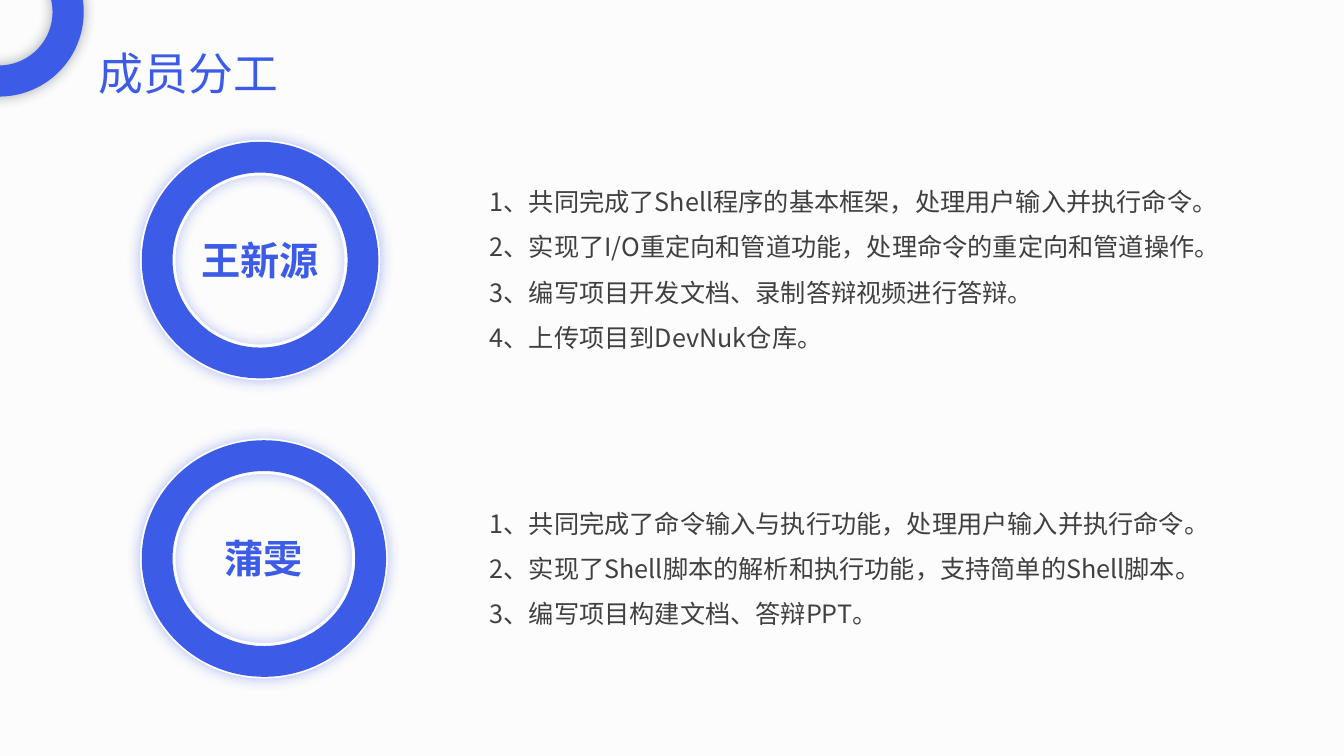
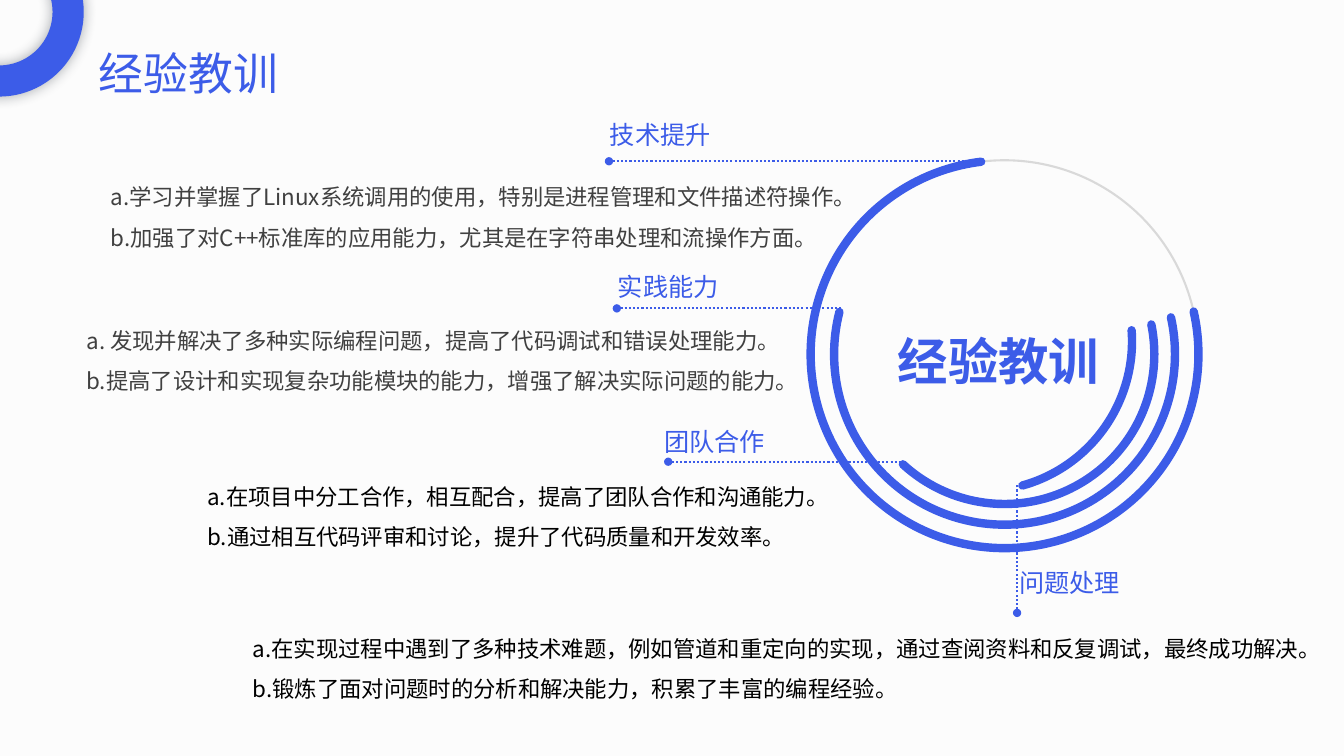
from dataclasses import dataclass

from lxml.etree import SubElement
from pptx import Presentation
from pptx.dml.color import RGBColor
from pptx.enum.dml import MSO_LINE
from pptx.enum.shapes import MSO_CONNECTOR, MSO_SHAPE
from pptx.enum.text import MSO_AUTO_SIZE, PP_ALIGN
from pptx.oxml.ns import qn
from pptx.shapes.autoshape import Shape
from pptx.slide import Slide
from pptx.util import Pt

BLUE = RGBColor(0x3C, 0x5C, 0xE8)
NAVY = RGBColor(0x22, 0x2A, 0x35)
DARK = RGBColor(0x40, 0x40, 0x40)
BLACK = RGBColor(0, 0, 0)
WHITE = RGBColor(0xFF, 0xFF, 0xFF)
GRAY = RGBColor(0xD9, 0xD9, 0xD9)
PAPER = RGBColor(0xFC, 0xFC, 0xFC)
FONT = "Noto Sans CJK SC"


@dataclass(frozen=True)
class Area:
    left: float
    top: float
    width: float
    height: float

    def lengths(self) -> tuple[Pt, Pt, Pt, Pt]:
        return Pt(self.left), Pt(self.top), Pt(self.width), Pt(self.height)

    def inset(self, gap: float) -> "Area":
        return Area(self.left + gap, self.top + gap, self.width - 2 * gap, self.height - 2 * gap)


def centred(x: float, y: float, width: float, height: float) -> Area:
    return Area(x - width / 2, y - height / 2, width, height)


@dataclass(frozen=True)
class Style:
    size: float
    color: RGBColor = BLUE
    bold: bool = False
    align: PP_ALIGN = PP_ALIGN.LEFT
    spacing: float = 1.0
    wrap: bool = True


@dataclass(frozen=True)
class Member:
    name: str
    ring: Area
    arc_end: float
    duties: Area
    lines: list[str]


@dataclass(frozen=True)
class Arc:
    x: float
    y: float
    diameter: float
    start: float
    end: float
    rotation: float = 180


@dataclass(frozen=True)
class Topic:
    heading: str
    label: tuple[float, float]
    dot: tuple[float, float]
    tip: tuple[float, float]
    body: Area
    color: RGBColor
    lines: list[str]


TITLE = Style(32)
NAME = Style(28, bold=True, align=PP_ALIGN.CENTER, wrap=False)
HUB = Style(36, bold=True, align=PP_ALIGN.CENTER)
LABEL = Style(18, align=PP_ALIGN.RIGHT, wrap=False)
DUTIES = Style(18, DARK, spacing=1.5)

MEMBERS = [
    Member("王新源", Area(100, 100, 171.5, 171.5), 273.14, Area(342.7, 118.8, 528.5, 134.6), [
        "1、共同完成了Shell程序的基本框架，处理用户输入并执行命令。",
        "2、实现了I/O重定向和管道功能，处理命令的重定向和管道操作。",
        "3、编写项目开发文档、录制答辩视频进行答辩。",
        "4、上传项目到DevNuk仓库。",
    ]),
    Member("蒲雯", Area(100, 313.2, 177, 171.5), 273.28, Area(342.7, 348.5, 543, 101.5), [
        "1、共同完成了命令输入与执行功能，处理用户输入并执行命令。",
        "2、实现了Shell脚本的解析和执行功能，支持简单的Shell脚本。",
        "3、编写项目构建文档、答辩PPT。",
    ]),
]

HUB_X, HUB_Y, HUB_DIAMETER = 717.5, 253, 277
ARCS = [
    Arc(HUB_X, HUB_Y, HUB_DIAMETER, 167.28, 83.08),
    Arc(HUB_X, HUB_Y, 243.5, 167.5, 14.36),
    Arc(HUB_X, HUB_Y, 214, 168.53, 312.7),
    Arc(701.6, 243.7, 214, 169.39, 248.06, 186.4),
]

TOPICS = [
    Topic("技术提升", (427.7, 82), (435, 115.2), (692.6, 115.2), Area(72, 118, 569, 62), DARK, [
        "a.学习并掌握了Linux系统调用的使用，特别是进程管理和文件描述符操作。",
        "b.加强了对C++标准库的应用能力，尤其是在字符串处理和流操作方面。",
    ]),
    Topic("实践能力", (433.5, 190), (440.6, 220.3), (602, 220.3), Area(54.7, 220.3, 564.5, 62), DARK, [
        "a. 发现并解决了多种实际编程问题，提高了代码调试和错误处理能力。",
        "b.提高了设计和实现复杂功能模块的能力，增强了解决实际问题的能力。",
    ]),
    Topic("团队合作", (466.5, 301), (477.3, 329.8), (645, 329.8), Area(141, 332, 526.3, 62), BLACK, [
        "a.在项目中分工合作，相互配合，提高了团队合作和沟通能力。",
        "b.通过相互代码评审和讨论，提升了代码质量和开发效率。",
    ]),
    Topic("问题处理", (720, 401.8), (726.5, 437.8), (726.5, 345.6), Area(173.5, 440.6, 775.5, 62), BLACK, [
        "a.在实现过程中遇到了多种技术难题，例如管道和重定向的实现，通过查阅资料和反复调试，最终成功解决。",
        "b.锻炼了面对问题时的分析和解决能力，积累了丰富的编程经验。",
    ]),
]


def add_text(page: Slide, area: Area, lines: list[str], style: Style) -> None:
    frame = page.shapes.add_textbox(*area.lengths()).text_frame
    frame.word_wrap = style.wrap
    frame.auto_size = MSO_AUTO_SIZE.SHAPE_TO_FIT_TEXT
    frame.text = "\n".join(lines)
    for para in frame.paragraphs:
        para.alignment = style.align
        para.line_spacing = style.spacing
        para.font.size = Pt(style.size)
        para.font.bold = style.bold
        para.font.color.rgb = style.color
        para.font.name = FONT
        properties = para._p.pPr.find(qn("a:defRPr"))
        SubElement(properties, qn("a:ea"), typeface=FONT)


def add_glow(shape: Shape, color: RGBColor) -> None:
    """Surround the shape with a soft shadow that has no offset."""
    shape.shadow.inherit = False
    effects = shape._element.spPr.find(qn("a:effectLst"))
    shadow = SubElement(effects, qn("a:outerShdw"), blurRad=str(Pt(10)), dist="0", dir="0",
                        algn="ctr", rotWithShape="0")
    tint = SubElement(shadow, qn("a:srgbClr"), val=str(color))
    SubElement(tint, qn("a:alpha"), val="40000")


def add_donut(page: Slide, area: Area, thickness: float, fill: RGBColor, glow: RGBColor) -> None:
    donut = page.shapes.add_shape(MSO_SHAPE.DONUT, *area.lengths())
    donut.adjustments[0] = thickness
    donut.fill.solid()
    donut.fill.fore_color.rgb = fill
    donut.line.fill.background()
    add_glow(donut, glow)


def add_outline(page: Slide, kind: MSO_SHAPE, area: Area, color: RGBColor, weight: float) -> Shape:
    shape = page.shapes.add_shape(kind, *area.lengths())
    shape.fill.background()
    shape.line.color.rgb = color
    shape.line.width = Pt(weight)
    shape.shadow.inherit = False
    return shape


def add_arc(page: Slide, area: Area, start: float, end: float, weight: float, rotation: float = 180) -> None:
    """Draw a round-ended arc between two angles in degrees."""
    arc = add_outline(page, MSO_SHAPE.ARC, area, BLUE, weight)
    for index, angle in enumerate((start, end)):
        arc.adjustments[index] = angle * 0.6
    arc.rotation = rotation
    arc._element.spPr.find(qn("a:ln")).set("cap", "rnd")


def add_leader(page: Slide, dot: tuple[float, float], tip: tuple[float, float]) -> None:
    """Draw a dotted line that starts with a round dot."""
    ends = [Pt(value) for value in (*dot, *tip)]
    leader = page.shapes.add_connector(MSO_CONNECTOR.STRAIGHT, *ends)
    leader.line.color.rgb = BLUE
    leader.line.width = Pt(1.5)
    leader.line.dash_style = MSO_LINE.ROUND_DOT
    properties = leader._element.spPr
    SubElement(properties.find(qn("a:ln")), qn("a:headEnd"), type="oval")
    SubElement(properties, qn("a:effectLst"))


def add_page(deck: Presentation, title: str) -> Slide:
    page = deck.slides.add_slide(deck.slide_layouts[6])
    add_donut(page, Area(-61.2, -52, 121, 121), 0.184, BLUE, NAVY)
    add_text(page, Area(63.4, 28.8, 332.6, 46), [title], TITLE)
    return page


def add_member(page: Slide, member: Member) -> None:
    ring = member.ring
    add_donut(page, ring, 0.148, WHITE, BLUE)
    add_arc(page, ring.inset(12.25), 275.58, member.arc_end, 22)
    name_area = centred(ring.left + ring.width / 2, ring.top + ring.height / 2, 100, 41)
    add_text(page, name_area, [member.name], NAME)
    add_text(page, member.duties, member.lines, DUTIES)


def add_topic(page: Slide, topic: Topic) -> None:
    add_leader(page, topic.dot, topic.tip)
    add_text(page, Area(*topic.label, 87, 29), [topic.heading], LABEL)
    add_text(page, topic.body, topic.lines, Style(16, topic.color, spacing=1.5))


def build_members(deck: Presentation) -> None:
    page = add_page(deck, "成员分工")
    for member in MEMBERS:
        add_member(page, member)


def build_lessons(deck: Presentation) -> None:
    page = add_page(deck, "经验教训")
    circle = centred(HUB_X, HUB_Y, HUB_DIAMETER, HUB_DIAMETER)
    add_outline(page, MSO_SHAPE.OVAL, circle, GRAY, 1.5)
    for arc in ARCS:
        area = centred(arc.x, arc.y, arc.diameter, arc.diameter)
        add_arc(page, area, arc.start, arc.end, 6, arc.rotation)
    for topic in TOPICS:
        add_topic(page, topic)
    add_text(page, Area(615, 232, 196.5, 51), ["经验教训"], HUB)


def main() -> None:
    deck = Presentation()
    deck.slide_width, deck.slide_height = Pt(960), Pt(540)
    backdrop = deck.slide_master.background.fill
    backdrop.solid()
    backdrop.fore_color.rgb = PAPER
    build_members(deck)
    build_lessons(deck)
    deck.save("out.pptx")


if __name__ == "__main__":
    main()
